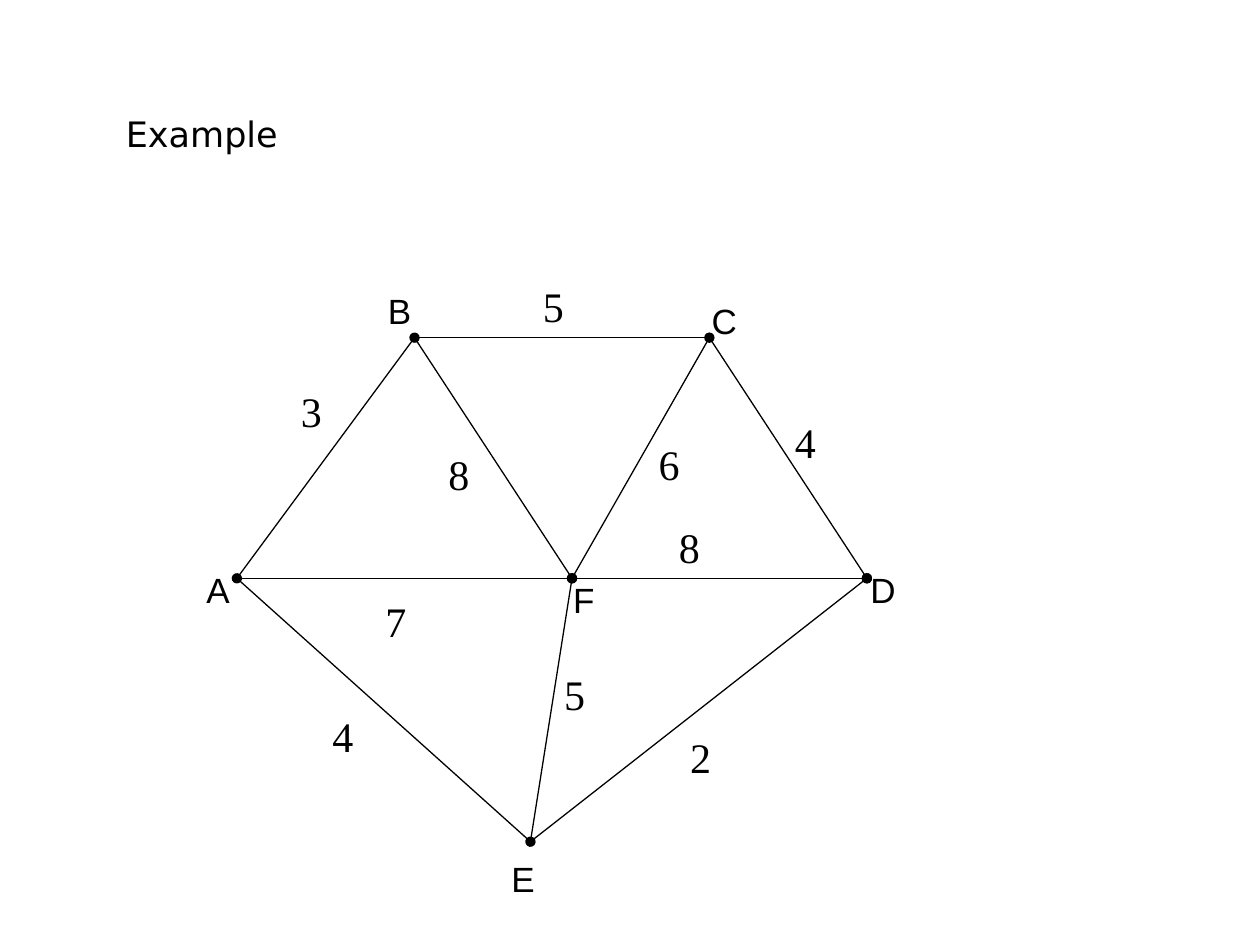
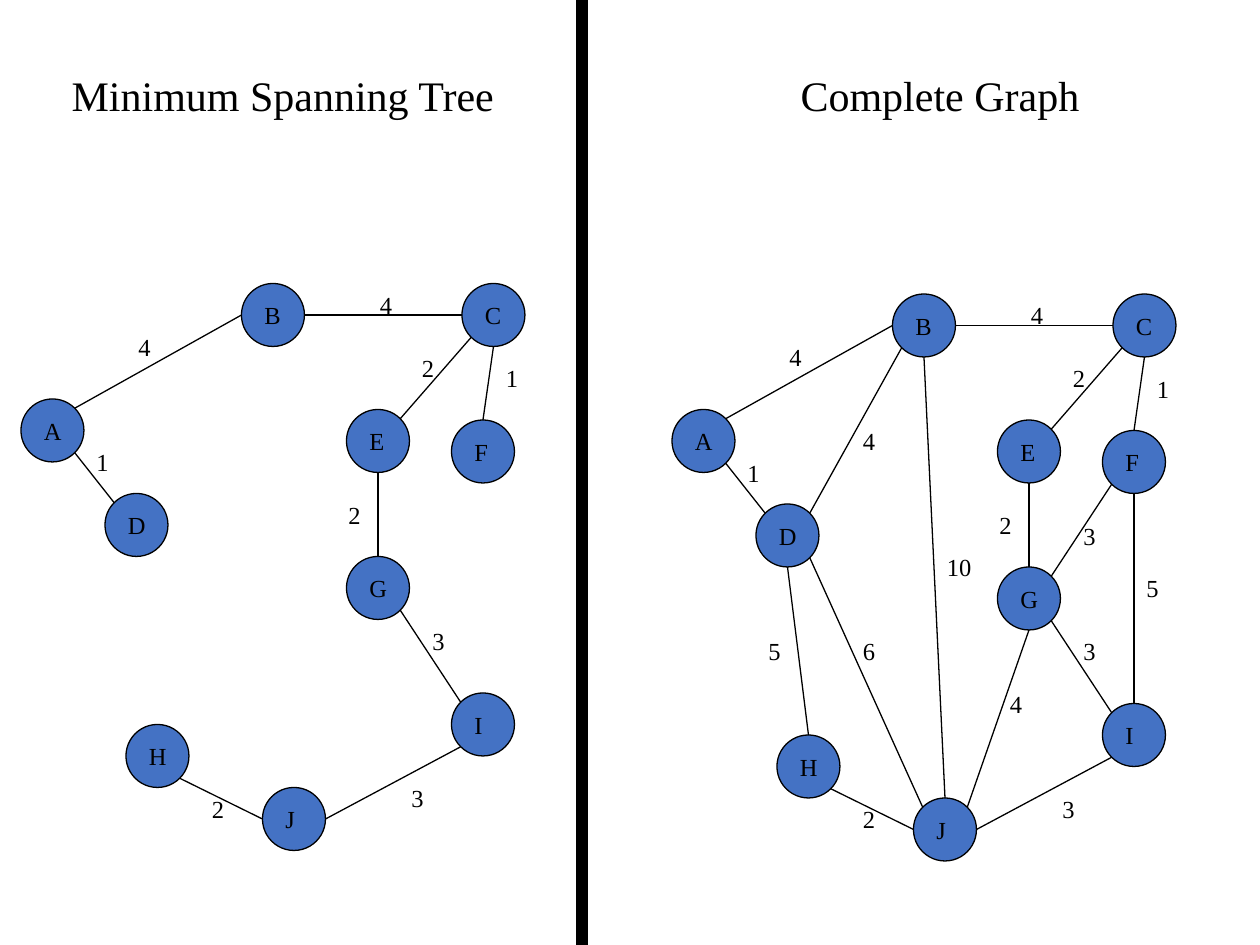
"""Build two slides on weighted graphs and minimum spanning trees."""
from math import sqrt

from lxml import etree
from pptx import Presentation
from pptx.dml.color import RGBColor
from pptx.enum.shapes import MSO_CONNECTOR, MSO_SHAPE
from pptx.enum.text import MSO_AUTO_SIZE, PP_ALIGN
from pptx.oxml.ns import qn
from pptx.util import Inches, Pt

BLACK = RGBColor(0x00, 0x00, 0x00)
NODE_BLUE = RGBColor(0x44, 0x72, 0xC4)
SERIF = "Times New Roman"
LINE_WIDTH = Pt(0.75)
STRAIGHT = MSO_CONNECTOR.STRAIGHT
OVAL = MSO_SHAPE.OVAL
RECTANGLE = MSO_SHAPE.RECTANGLE
FIT_SHAPE = MSO_AUTO_SIZE.SHAPE_TO_FIT_TEXT
LEFT = PP_ALIGN.LEFT
CENTER = PP_ALIGN.CENTER


def add_text(slide, text, left, top, width, height, size, font=SERIF, align=LEFT, wrap=True):
    box = slide.shapes.add_textbox(Inches(left), Inches(top), Inches(width), Inches(height))
    box.text_frame.word_wrap = wrap
    box.text_frame.auto_size = FIT_SHAPE
    paragraph = box.text_frame.paragraphs[0]
    paragraph.text = text
    paragraph.alignment = align
    paragraph.font.name = font
    paragraph.font.size = Pt(size)
    paragraph.font.color.rgb = BLACK


def add_edge(slide, start, end, dots=()):
    connector = slide.shapes.add_connector(STRAIGHT, *[Inches(value) for value in (*start, *end)])
    connector.line.color.rgb = BLACK
    connector.line.width = LINE_WIDTH
    line = connector.line._get_or_add_ln()
    for dot in dots:
        etree.SubElement(line, qn(f"a:{dot}"), type="oval")
    etree.SubElement(connector._element.spPr, qn("a:effectLst"))


presentation = Presentation()
presentation.slide_width = Inches(10)
presentation.slide_height = Inches(7.5)
blank_layout = presentation.slide_layouts[6]

example_slide = presentation.slides.add_slide(blank_layout)
add_text(example_slide, "Example", 0.9, 0.84, 7.95, 0.44, 20, "DejaVu Sans")

vertices = {
    "A": (1.88, 4.59), "B": (3.29, 2.68), "C": (5.63, 2.68),
    "D": (6.88, 4.59), "E": (4.21, 6.68), "F": (4.54, 4.59),
}
vertex_labels = {
    "A": (1.54, 4.46, 0.55), "B": (2.98, 2.25, 0.4), "C": (5.55, 2.33, 0.45),
    "D": (6.81, 4.46, 0.34), "E": (3.96, 6.76, 0.4), "F": (4.45, 4.54, 0.41),
}
BOTH_DOTS = ("headEnd", "tailEnd")
END_DOT = ("tailEnd",)
example_edges = [
    ("A", "B", BOTH_DOTS, "3", 2.29, 3.01),
    ("B", "C", END_DOT, "5", 4.21, 2.18),
    ("C", "D", END_DOT, "4", 6.21, 3.26),
    ("A", "F", (), "7", 2.96, 4.68),
    ("F", "D", (), "8", 5.29, 4.09),
    ("B", "F", END_DOT, "8", 3.46, 3.51),
    ("F", "C", (), "6", 5.13, 3.43),
    ("A", "E", (), "4", 2.54, 5.59),
    ("E", "F", BOTH_DOTS, "5", 4.38, 5.26),
    ("E", "D", END_DOT, "2", 5.38, 5.76),
]
for start, end, dots, weight, left, top in example_edges:
    add_edge(example_slide, vertices[start], vertices[end], dots)
    add_text(example_slide, weight, left, top, 0.5, 0.5, 24)
for name, (left, top, width) in vertex_labels.items():
    add_text(example_slide, name, left, top, width, 0.43, 20, "Arial")

tree_slide = presentation.slides.add_slide(blank_layout)
divider = tree_slide.shapes.add_shape(RECTANGLE, Inches(4.58), 0, Inches(0.08), Inches(7.5))
divider.shadow.inherit = False
divider.fill.solid()
divider.fill.fore_color.rgb = BLACK
divider.line.color.rgb = BLACK
divider.line.width = LINE_WIDTH

GRID = 1 / 12
NODE_SIZE = 6
RADIUS = NODE_SIZE / 2
DIAGONAL = 1 / sqrt(2)
DIRECTIONS = {
    "N": (0, -1), "S": (0, 1), "W": (-1, 0), "E": (1, 0),
    "NW": (-DIAGONAL, -DIAGONAL), "NE": (DIAGONAL, -DIAGONAL),
    "SW": (-DIAGONAL, DIAGONAL), "SE": (DIAGONAL, DIAGONAL),
}
nodes = {
    "A": (2, 38, 0.34), "B": (23, 27, 0.33), "C": (44, 27, 0.33), "D": (10, 47, 0.34),
    "E": (33, 39, 0.32), "F": (43, 40, 0.31), "G": (33, 53, 0.34), "H": (12, 69, 0.34),
    "I": (43, 66, 0.27), "J": (25, 75, 0.28),
}
tree_edges = [
    ("A", "NE", "B", "W", "4", 12, 31),
    ("A", "SE", "D", "NW", "1", 8, 42),
    ("B", "E", "C", "W", "4", 35, 27),
    ("C", "SW", "E", "NE", "2", 39, 33),
    ("C", "S", "F", "N", "1", 47, 34),
    ("E", "S", "G", "N", "2", 32, 47),
    ("G", "SE", "I", "NW", "3", 40, 59),
    ("H", "SE", "J", "W", "2", 19, 75),
    ("J", "E", "I", "SW", "3", 38, 74),
]
other_edges = [
    ("B", "SW", "D", "NE", "4", 19, 39),
    ("B", "S", "J", "N", "10", 27, 51),
    ("D", "S", "H", "N", "5", 10, 59),
    ("D", "SE", "J", "NW", "6", 19, 59),
    ("F", "SW", "G", "NE", "3", 40, 48),
    ("F", "S", "I", "N", "5", 46, 53),
    ("J", "NE", "G", "S", "4", 33, 64),
]
graphs = [
    ("Minimum Spanning Tree", 0.33, 3.83, 0, 0, tree_edges),
    ("Complete Graph", 6, 2.92, 62, 1, tree_edges + other_edges),
]
for title, title_left, title_width, shift_x, shift_y, edges in graphs:
    add_text(tree_slide, title, title_left, 0.5, title_width, 0.5, 24, align=CENTER)
    for name, (column, row, label_width) in nodes.items():
        left, top = (column + shift_x) * GRID, (row + shift_y) * GRID
        size = Inches(NODE_SIZE * GRID)
        node = tree_slide.shapes.add_shape(OVAL, Inches(left), Inches(top), size, size)
        node.shadow.inherit = False
        node.fill.solid()
        node.fill.fore_color.rgb = NODE_BLUE
        node.line.color.rgb = BLACK
        node.line.width = LINE_WIDTH
        add_text(tree_slide, name, left + GRID, top + GRID, label_width, 0.33, 14, wrap=False)
    for start, start_side, end, end_side, weight, column, row in edges:
        ends = []
        for name, side in ((start, start_side), (end, end_side)):
            across, down = DIRECTIONS[side]
            ends.append((
                (nodes[name][0] + shift_x + RADIUS * (1 + across)) * GRID,
                (nodes[name][1] + shift_y + RADIUS * (1 + down)) * GRID,
            ))
        add_edge(tree_slide, *ends)
        weight_width = 0.2 + 0.1 * len(weight)
        add_text(tree_slide, weight, (column + shift_x) * GRID, (row + shift_y) * GRID,
                 weight_width, 0.33, 14, wrap=False)

presentation.save("out.pptx")
